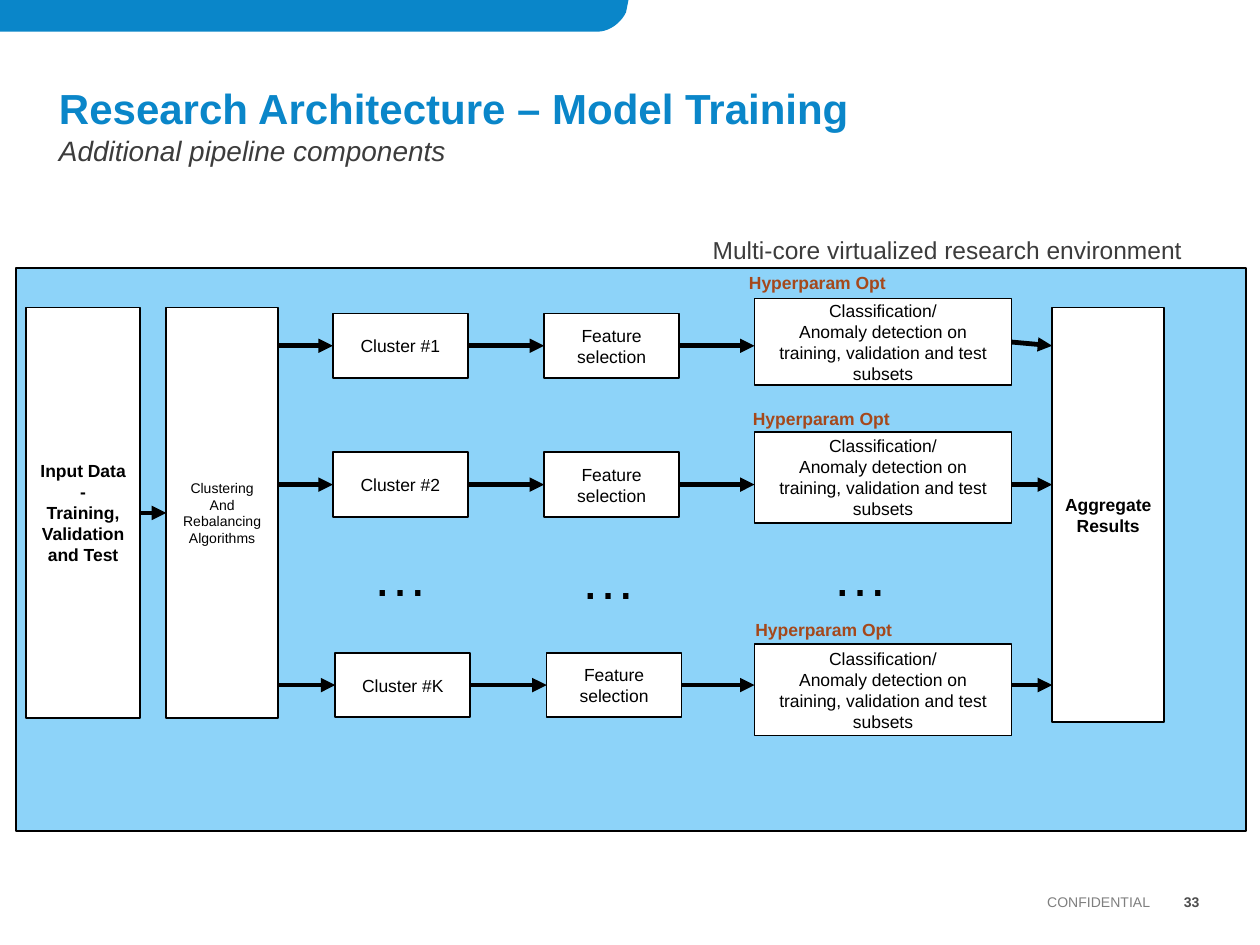
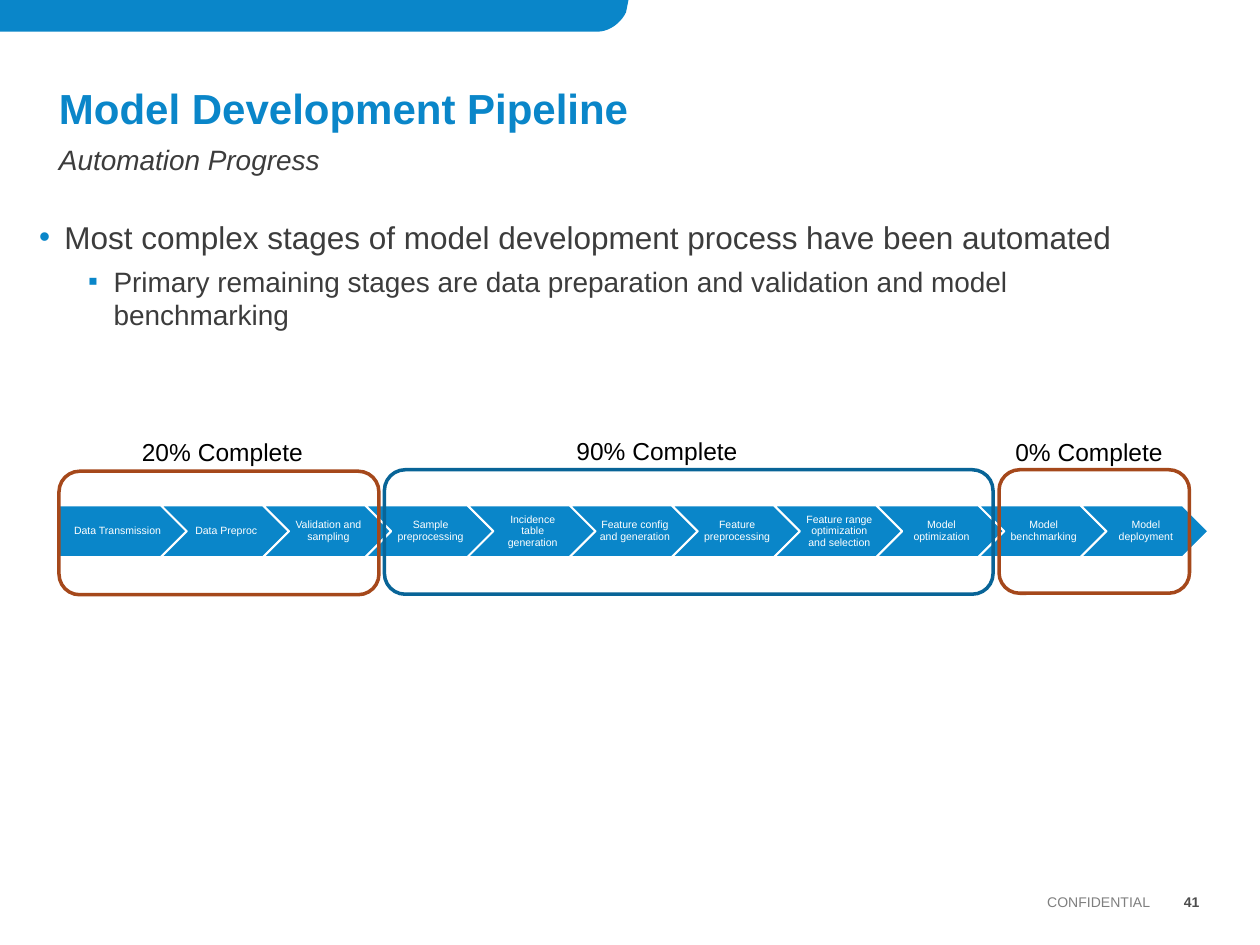
from dataclasses import dataclass

from lxml import etree
from pptx import Presentation
from pptx.dml.color import RGBColor
from pptx.enum.shapes import MSO_CONNECTOR, MSO_SHAPE as Preset
from pptx.enum.text import MSO_ANCHOR as Anchor, PP_ALIGN as Align
from pptx.oxml.ns import qn
from pptx.util import Cm, Pt

LEFT, RIGHT = 1, 3  # connection sites of a rectangle
NO_INSETS = (0, 0, 0, 0)
BOX_INSETS = (0.25, 0.13, 0.25, 0.13)


@dataclass(frozen=True)
class Theme:
    font: str = "Arial"
    brand: str = "0A86C9"
    navy: str = "086497"
    rust: str = "A5481B"
    sky: str = "8DD3F9"
    body: str = "3C3C3C"
    black: str = "000000"
    white: str = "FFFFFF"
    page_grey: str = "4D4D4D"
    footer_grey: str = "7F7F7F"
    title_size: int = 24
    lead_size: int = 18
    subtitle_size: int = 16
    caption_size: int = 14
    label_size: int = 10
    small_size: int = 8
    stage_size: int = 6
    ellipsis_size: int = 32


@dataclass(frozen=True)
class Branch:
    """One row of the training diagram; lengths in centimetres."""
    cluster: str
    top: float
    shift: float
    classifier_top: float
    classifier_height: float
    label_left: float
    label_top: float
    exit_joined: bool = False


def bezier(start, control_1, control_2, end, steps=10):
    """Points along a cubic curve, without its start."""
    for step in range(1, steps + 1):
        t = step / steps
        u = 1 - t
        weights = (u ** 3, 3 * u * u * t, 3 * u * t * t, t ** 3)
        curve = (start, control_1, control_2, end)
        yield tuple(sum(w * p[axis] for w, p in zip(weights, curve)) for axis in (0, 1))


class Deck:
    def __init__(self, theme):
        self.theme = theme
        self.prs = Presentation()
        self.prs.slide_width, self.prs.slide_height = Cm(25.4), Cm(19.05)
        self.slide = None

    def new_slide(self, title, subtitle, number, subtitle_top):
        t = self.theme
        self.slide = self.prs.slides.add_slide(self.prs.slide_layouts[6])
        self.band()
        self.text((1.19, 1.5, 23.01, 1.19), [title], t.title_size, t.brand, bold=True,
                  anchor=Anchor.BOTTOM, insets=NO_INSETS, spacing=0.9)
        self.text((1.19, subtitle_top, 23.01, 0.99), [subtitle], t.subtitle_size, t.body,
                  italic=True, insets=NO_INSETS)
        footer = dict(align=Align.RIGHT, anchor=Anchor.MIDDLE, insets=NO_INSETS)
        self.text((4.8, 17.93, 18.39, 0.51), ["CONFIDENTIAL"], t.small_size,
                  t.footer_grey, **footer)
        self.text((23.19, 17.93, 0.99, 0.51), [str(number)], t.small_size,
                  t.page_grey, bold=True, **footer)

    def band(self):
        corner = bezier((12.62, 0.25), (12.52, 0.46), (12.29, 0.64), (12.04, 0.64))
        outline = [(12.67, 0), (12.62, 0.25), *corner, (0, 0.64)]
        builder = self.slide.shapes.build_freeform(0, 0)
        builder.add_line_segments([(Cm(x), Cm(y)) for x, y in outline])
        self.paint(builder.convert_to_shape(), self.theme.brand)

    @staticmethod
    def paint(shape, fill=None, line=None, width=1):
        shape.shadow.inherit = False
        if fill:
            shape.fill.solid()
            shape.fill.fore_color.rgb = RGBColor.from_string(fill)
        else:
            shape.fill.background()
        if line:
            shape.line.color.rgb = RGBColor.from_string(line)
            shape.line.width = Pt(width)
        else:
            shape.line.fill.background()

    def run(self, paragraph, words, size, color, bold=False, italic=False):
        run = paragraph.add_run()
        run.text = words
        font = run.font
        font.name, font.size = self.theme.font, Pt(size)
        font.bold, font.italic = bold, italic
        font.color.rgb = RGBColor.from_string(color)

    def set_text(self, shape, lines, size, color, bold=False, italic=False,
                 align=Align.LEFT, anchor=Anchor.TOP, insets=BOX_INSETS, spacing=None):
        """Fill a shape with one paragraph per line."""
        frame = shape.text_frame
        frame.word_wrap = True
        frame.vertical_anchor = anchor
        (frame.margin_left, frame.margin_top,
         frame.margin_right, frame.margin_bottom) = map(Cm, insets)
        for index, words in enumerate(lines):
            paragraph = frame.add_paragraph() if index else frame.paragraphs[0]
            paragraph.alignment = align
            if spacing:
                paragraph.line_spacing = spacing
            self.run(paragraph, words, size, color, bold, italic)

    def text(self, place, lines, size, color, **style):
        self.set_text(self.slide.shapes.add_textbox(*map(Cm, place)), lines, size, color,
                      **style)

    def bullets(self, place, points):
        """Points are (level, bullet, indent, space before, size, words)."""
        frame = self.slide.shapes.add_textbox(*map(Cm, place)).text_frame
        frame.word_wrap = True
        frame.margin_left = frame.margin_top = frame.margin_right = frame.margin_bottom = 0
        for index, (level, bullet, indent, before, size, words) in enumerate(points):
            paragraph = frame.add_paragraph() if index else frame.paragraphs[0]
            paragraph.level = level
            props = paragraph._p.get_or_add_pPr()
            props.set("marL", str(Cm(indent)))
            props.set("indent", str(Cm(-0.51)))
            tint = etree.SubElement(props, qn("a:buClr"))
            etree.SubElement(tint, qn("a:srgbClr"), val=self.theme.brand)
            etree.SubElement(props, qn("a:buFont"), typeface=self.theme.font)
            etree.SubElement(props, qn("a:buChar"), char=bullet)
            paragraph.space_before = Pt(before)
            self.run(paragraph, words, size, self.theme.body)

    def shape(self, preset, place, fill=None, line=None, width=1):
        shape = self.slide.shapes.add_shape(preset, *map(Cm, place))
        self.paint(shape, fill, line, width)
        return shape

    def box(self, place, lines, size=None, bold=False):
        t = self.theme
        box = self.shape(Preset.RECTANGLE, place, t.white, t.black)
        self.set_text(box, lines, size or t.label_size, t.black, bold=bold,
                      align=Align.CENTER, anchor=Anchor.MIDDLE)
        return box

    def arrow(self, start, end):
        """Each end is an (x, y) point in EMU or a (shape, site) pair to join."""
        line = self.slide.shapes.add_connector(MSO_CONNECTOR.STRAIGHT, 0, 0, 0, 0)
        if isinstance(start[0], int):
            line.begin_x, line.begin_y = start
        else:
            line.begin_connect(*start)
        if isinstance(end[0], int):
            line.end_x, line.end_y = end
        else:
            line.end_connect(*end)
        line.line.color.rgb = RGBColor.from_string(self.theme.black)
        line.line.width = Pt(2.75)
        etree.SubElement(line.line._get_or_add_ln(), qn("a:tailEnd"), type="triangle")
        etree.SubElement(line._element.spPr, qn("a:effectLst"))


def training_slide(deck):
    t = deck.theme
    deck.new_slide("Research Architecture – Model Training",
                   "Additional pipeline components", 33, 2.69)
    environment = deck.shape(Preset.ROUNDED_RECTANGLE, (0.33, 5.41, 24.79, 11.35),
                             t.sky, t.black)
    environment.adjustments[0] = 0
    deck.text((13.64, 4.6, 10.92, 0.97), ["Multi-core virtualized research environment"],
              t.caption_size, t.body, align=Align.CENTER)

    input_data = deck.box((0.53, 6.2, 2.29, 8.28),
                          ["Input Data -", "Training, Validation and Test"], bold=True)
    clustering = deck.box((3.35, 6.2, 2.26, 8.28),
                          ["Clustering", "And Rebalancing Algorithms"], t.small_size)
    aggregate = deck.box((21.21, 6.2, 2.26, 8.36), ["Aggregate Results"], bold=True)
    deck.arrow((input_data, RIGHT), (clustering, LEFT))

    branches = [
        Branch("Cluster #1", 6.32, 0, 6.02, 1.75, 14.53, 5.36, exit_joined=True),
        Branch("Cluster #2", 9.12, 0, 8.71, 1.83, 14.61, 8.1),
        Branch("Cluster #K", 13.16, 0.05, 12.98, 1.85, 14.66, 12.34),
    ]
    for branch in branches:
        cluster = deck.box((6.71 + branch.shift, branch.top, 2.72, 1.3), [branch.cluster])
        feature = deck.box((10.97 + branch.shift, branch.top, 2.72, 1.3),
                           ["Feature", "selection"])
        classifier = deck.box(
            (15.21, branch.classifier_top, 5.18, branch.classifier_height),
            ["Classification/", "Anomaly detection on training, validation and test subsets"])
        deck.text((branch.label_left, branch.label_top, 3.89, 0.69), ["Hyperparam Opt"],
                  t.label_size, t.rust, bold=True, align=Align.CENTER)

        lane = cluster.top + cluster.height // 2
        classifier_right = classifier.left + classifier.width
        deck.arrow((clustering.left + clustering.width, lane), (cluster, LEFT))
        deck.arrow((cluster, RIGHT), (feature, LEFT))
        deck.arrow((feature, RIGHT), (classifier.left, lane))
        deck.arrow((classifier, RIGHT) if branch.exit_joined else (classifier_right, lane),
                   (aggregate.left, lane))

    for left, top in [(7.26, 10.77), (11.46, 10.82), (16.54, 10.77)]:
        deck.text((left, top, 1.91, 1.63), ["…"], t.ellipsis_size, t.black,
                  insets=(0.25, 0.13, 0, 0.13))


def pipeline_slide(deck):
    t = deck.theme
    deck.new_slide("Model Development Pipeline", "Automation Progress", 41, 2.87)
    deck.bullets((0.79, 4.39, 22.07, 3.71), [
        (0, "•", 0.51, 0, t.lead_size,
         "Most complex stages of model development process have been automated"),
        (1, "▪", 1.5, 5, t.subtitle_size,
         "Primary remaining stages are data preparation and validation and model benchmarking"),
    ])

    stages = ["Data Transmission", "Data Preproc", "Validation and sampling",
              "Sample preprocessing", "Incidence table generation",
              "Feature config and generation", "Feature preprocessing",
              "Feature range optimization and selection", "Model optimization",
              "Model benchmarking", "Model deployment"]
    for index, stage in enumerate(stages):
        preset = Preset.CHEVRON if index else Preset.PENTAGON
        step = deck.shape(preset, (1.19 + 2.06 * index, 10.19, 2.57, 1.04), t.brand, t.white)
        deck.set_text(step, [stage], t.stage_size, t.white, align=Align.CENTER,
                      anchor=Anchor.MIDDLE, insets=(0.08, 0.05, 0.03, 0.05), spacing=0.9)

    progress = [
        ("90% Complete", t.navy, (7.75, 9.47, 12.27, 2.51), (11.05, 8.66)),
        ("20% Complete", t.rust, (1.19, 9.5, 6.45, 2.49), (2.29, 8.69)),
        ("0% Complete", t.rust, (20.14, 9.47, 3.84, 2.49), (19.76, 8.69)),
    ]
    for label, color, frame, label_corner in progress:
        deck.shape(Preset.ROUNDED_RECTANGLE, frame, line=color, width=2)
        deck.text((*label_corner, 4.39, 0.86), [label], t.caption_size, t.black,
                  align=Align.CENTER)


def main():
    deck = Deck(Theme())
    training_slide(deck)
    pipeline_slide(deck)
    deck.prs.save("out.pptx")


if __name__ == "__main__":
    main()
